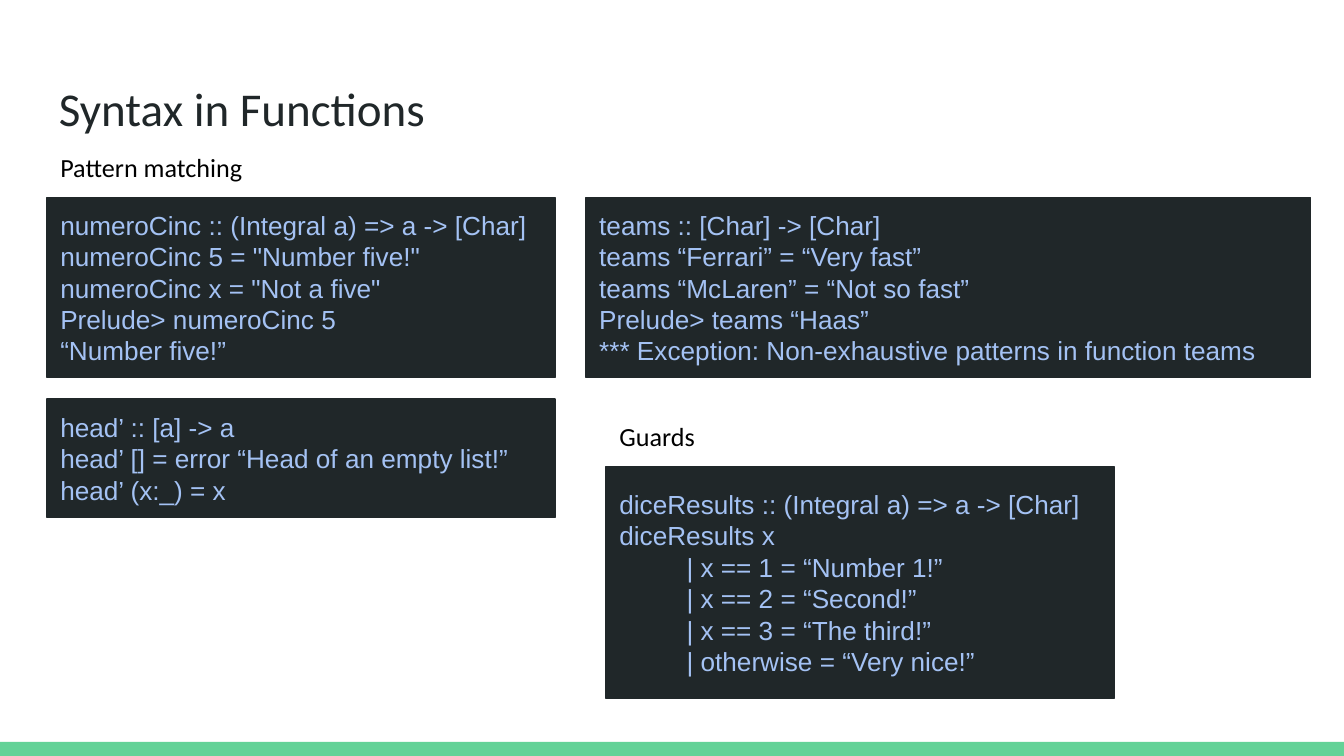
from dataclasses import dataclass

from pptx import Presentation
from pptx.dml.color import RGBColor
from pptx.enum.shapes import MSO_SHAPE
from pptx.enum.text import MSO_ANCHOR, PP_ALIGN
from pptx.util import Inches, Pt

RECT = MSO_SHAPE.RECTANGLE
TOP, MIDDLE = MSO_ANCHOR.TOP, MSO_ANCHOR.MIDDLE
LEFT = PP_ALIGN.LEFT


@dataclass(frozen=True)
class Theme:
    dark: str = "202729"
    green: str = "63D297"
    blue: str = "A4C2F4"
    black: str = "000000"
    head_font: str = "Calibri"
    code_font: str = "Arial"
    title_size: float = 25.2
    body_size: float = 14
    inset: float = 0.1


def write(shape, text, *, font, size, color, inset, anchor=TOP):
    """Fill a shape with text, one paragraph per line."""
    frame = shape.text_frame
    frame.word_wrap = True
    frame.vertical_anchor = anchor
    frame.margin_left = frame.margin_right = Inches(inset)
    frame.margin_top = frame.margin_bottom = Inches(inset)
    for i, line in enumerate(text.split("\n")):
        para = frame.add_paragraph() if i else frame.paragraphs[0]
        para.alignment = LEFT
        run = para.add_run()
        run.text = line
        run.font.name = font
        run.font.size = Pt(size)
        run.font.color.rgb = RGBColor.from_string(color)


class Deck:
    def __init__(self, slide, theme):
        self.slide = slide
        self.theme = theme

    def block(self, x, y, w, h, color, edge=None):
        box = self.slide.shapes.add_shape(
            RECT, Inches(x), Inches(y), Inches(w), Inches(h))
        box.shadow.inherit = False
        box.fill.solid()
        box.fill.fore_color.rgb = RGBColor.from_string(color)
        if edge:
            box.line.color.rgb = RGBColor.from_string(color)
            box.line.width = Pt(edge)
        else:
            box.line.fill.background()
        return box

    def label(self, text, x, y, w, h, size, color):
        box = self.slide.shapes.add_textbox(
            Inches(x), Inches(y), Inches(w), Inches(h))
        write(box, text, font=self.theme.head_font, size=size,
              color=color, inset=self.theme.inset)

    def title(self, text, x, y, w, h):
        self.label(text, x, y, w, h, self.theme.title_size, self.theme.dark)

    def topic(self, text, x, y):
        self.label(text, x, y, 2.11, 0.44,
                   self.theme.body_size, self.theme.black)

    def code(self, text, x, y, w, h):
        box = self.block(x, y, w, h, self.theme.dark, edge=0.75)
        write(box, text, font=self.theme.code_font,
              size=self.theme.body_size, color=self.theme.blue,
              inset=self.theme.inset, anchor=MIDDLE)


NUMBER = """numeroCinc :: (Integral a) => a -> [Char]
numeroCinc 5 = "Number five!"
numeroCinc x = "Not a five"
Prelude> numeroCinc 5
“Number five!”"""

TEAMS = """teams :: [Char] -> [Char]
teams “Ferrari” = “Very fast”
teams “McLaren” = “Not so fast”
Prelude> teams “Haas”
*** Exception: Non-exhaustive patterns in function teams"""

HEAD = """head’ :: [a] -> a
head’ [] = error “Head of an empty list!”
head’ (x:_) = x"""

GUARDS = ["| x == 1 = “Number 1!”", "| x == 2 = “Second!”",
          "| x == 3 = “The third!”", "| otherwise = “Very nice!”"]
DICE = "\n\t".join(
    ["diceResults :: (Integral a) => a -> [Char]\ndiceResults x"] + GUARDS)


def main():
    prs = Presentation()
    prs.slide_width, prs.slide_height = Inches(10), Inches(5.625)
    theme = Theme()
    deck = Deck(prs.slides.add_slide(prs.slide_layouts[6]), theme)
    left, right, width = 0.35, 4.51, 3.78

    # Footer band and title
    deck.block(0, 5.52, 10, 0.105, theme.green)
    deck.title("Syntax in Functions", 0.34, 0.49, 9.32, 0.63)

    # Pattern matching
    deck.topic("Pattern matching", left, 1.03)
    deck.code(NUMBER, left, 1.47, width, 1.34)
    deck.code(TEAMS, 4.36, 1.47, 5.39, 1.34)
    deck.code(HEAD, left, 2.97, width, 0.88)

    # Guards
    deck.topic("Guards", right, 3.03)
    deck.code(DICE, right, 3.47, width, 1.73)

    prs.save("out.pptx")


if __name__ == "__main__":
    main()
